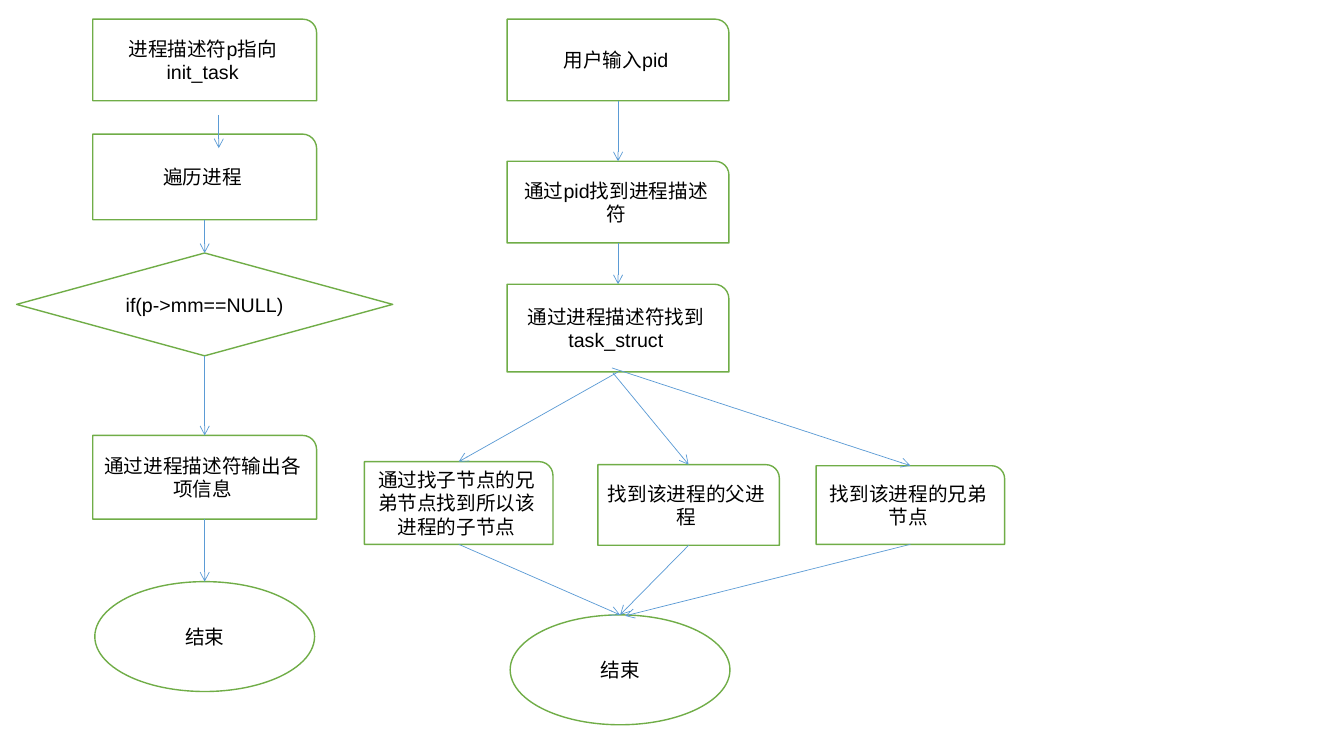
from dataclasses import dataclass

from lxml import etree
from pptx import Presentation
from pptx.dml.color import RGBColor
from pptx.enum import shapes, text
from pptx.oxml import ns
from pptx.util import Inches, Pt

STEP = shapes.MSO_SHAPE.ROUND_1_RECTANGLE
TEST = shapes.MSO_SHAPE.DIAMOND
END = shapes.MSO_SHAPE.OVAL
TOP, BOTTOM = 0, 2  # connection sites


@dataclass(frozen=True)
class Theme:
    """Colours, font and sizes of the flowcharts."""
    paper: RGBColor = RGBColor(0xFF, 0xFF, 0xFF)
    ink: RGBColor = RGBColor(0, 0, 0)
    outline: RGBColor = RGBColor(0x70, 0xAD, 0x47)
    arrow: RGBColor = RGBColor(0x5B, 0x9B, 0xD5)
    font: str = "Arial"
    size: float = 14
    outline_width: float = 1
    arrow_width: float = 0.5


class Flowchart:
    """Draws nodes and arrows on one slide in one theme."""

    def __init__(self, slide, theme):
        """Keep the slide and its theme."""
        self.slide, self.theme = slide, theme

    def node(self, kind, label, center, top, width, height):
        """Add a labelled node centred on a column."""
        node = self.slide.shapes.add_shape(
            kind, Inches(center - width / 2), Inches(top), Inches(width), Inches(height))
        node.shadow.inherit = False
        node.fill.solid()
        node.fill.fore_color.rgb = self.theme.paper
        node.line.color.rgb = self.theme.outline
        node.line.width = Pt(self.theme.outline_width)
        frame = node.text_frame
        frame.word_wrap = True
        frame.vertical_anchor = text.MSO_ANCHOR.MIDDLE
        paragraph = frame.paragraphs[0]
        paragraph.text = label
        paragraph.alignment = text.PP_ALIGN.CENTER
        paragraph.font.name = self.theme.font
        paragraph.font.size = Pt(self.theme.size)
        paragraph.font.color.rgb = self.theme.ink
        return node

    def arrow(self, start, end):
        """Add an arrow; each end is a node to attach to or an (x, y) point."""
        points = [Inches(v) for end_point in (start, end)
                  for v in (end_point if isinstance(end_point, tuple) else (0, 0))]
        arrow = self.slide.shapes.add_connector(shapes.MSO_CONNECTOR.STRAIGHT, *points)
        if not isinstance(start, tuple):
            arrow.begin_connect(start, BOTTOM)
        if not isinstance(end, tuple):
            arrow.end_connect(end, TOP)
        arrow.line.color.rgb = self.theme.arrow
        arrow.line.width = Pt(self.theme.arrow_width)
        etree.SubElement(arrow.line._get_or_add_ln(), ns.qn("a:tailEnd"), type="arrow")
        etree.SubElement(arrow._element.spPr, ns.qn("a:effectLst"))


def draw_listing(chart):
    """Draw the left chart: walk all processes and print kernel threads."""
    column, width = 2.03, 2.22
    chart.node(STEP, "进程描述符p指向init_task", column, 0.19, width, 0.81)
    walk = chart.node(STEP, "遍历进程", column, 1.33, width, 0.85)
    check = chart.node(TEST, "if(p->mm==NULL)", column, 2.51, 3.73, 1.02)
    output = chart.node(STEP, "通过进程描述符输出各项信息", column, 4.32, width, 0.83)
    finish = chart.node(END, "结束", column, 5.77, 2.18, 1.09)
    chart.arrow((2.17, 1.14), (2.17, 1.47))
    chain = [walk, check, output, finish]
    for source, target in zip(chain, chain[1:]):
        chart.arrow(source, target)


def draw_family(chart):
    """Draw the right chart: find the relatives of one process."""
    column, width = 6.13, 2.2
    pid = chart.node(STEP, "用户输入pid", column, 0.19, width, 0.81)
    descriptor = chart.node(STEP, "通过pid找到进程描述符", column, 1.6, width, 0.81)
    task = chart.node(STEP, "通过进程描述符找到task_struct", column, 2.82, width, 0.87)
    children = chart.node(STEP, "通过找子节点的兄弟节点找到所以该进程的子节点",
                          4.55, 4.58, 1.87, 0.82)
    parent = chart.node(STEP, "找到该进程的父进程", 6.83, 4.61, 1.8, 0.8)
    siblings = chart.node(STEP, "找到该进程的兄弟节点", 9.03, 4.62, 1.87, 0.78)
    finish = chart.node(END, "结束", 6.15, 6.1, 2.18, 1.09)
    for source, target in [
        (pid, descriptor), (descriptor, task),
        (task, children), ((6.08, 3.7), parent), ((6.07, 3.65), siblings),
        (children, finish), (parent, finish), (siblings, (6.2, 6.11)),
    ]:
        chart.arrow(source, target)


def main():
    """Build the slide and save it."""
    deck = Presentation()
    deck.slide_width, deck.slide_height = Inches(13.33), Inches(7.5)
    chart = Flowchart(deck.slides.add_slide(deck.slide_layouts[6]), Theme())
    draw_listing(chart)
    draw_family(chart)
    deck.save("out.pptx")


main()
